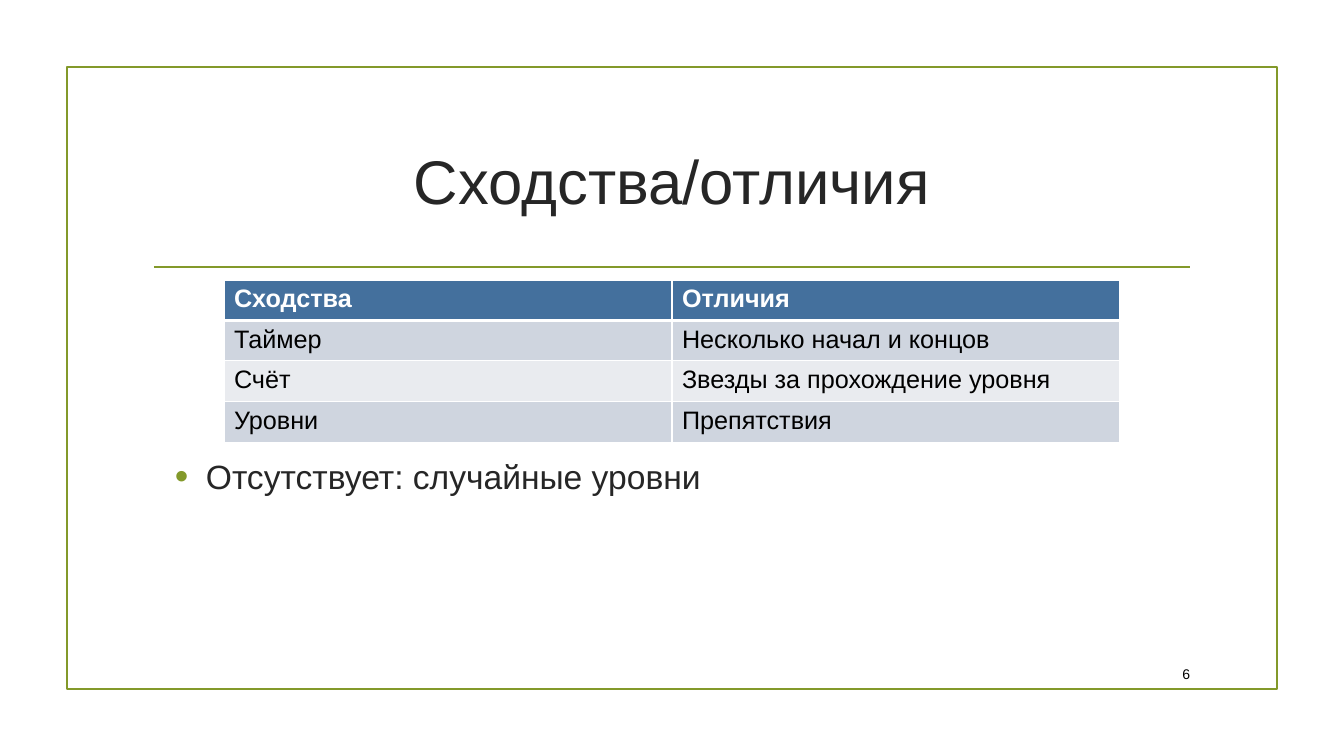
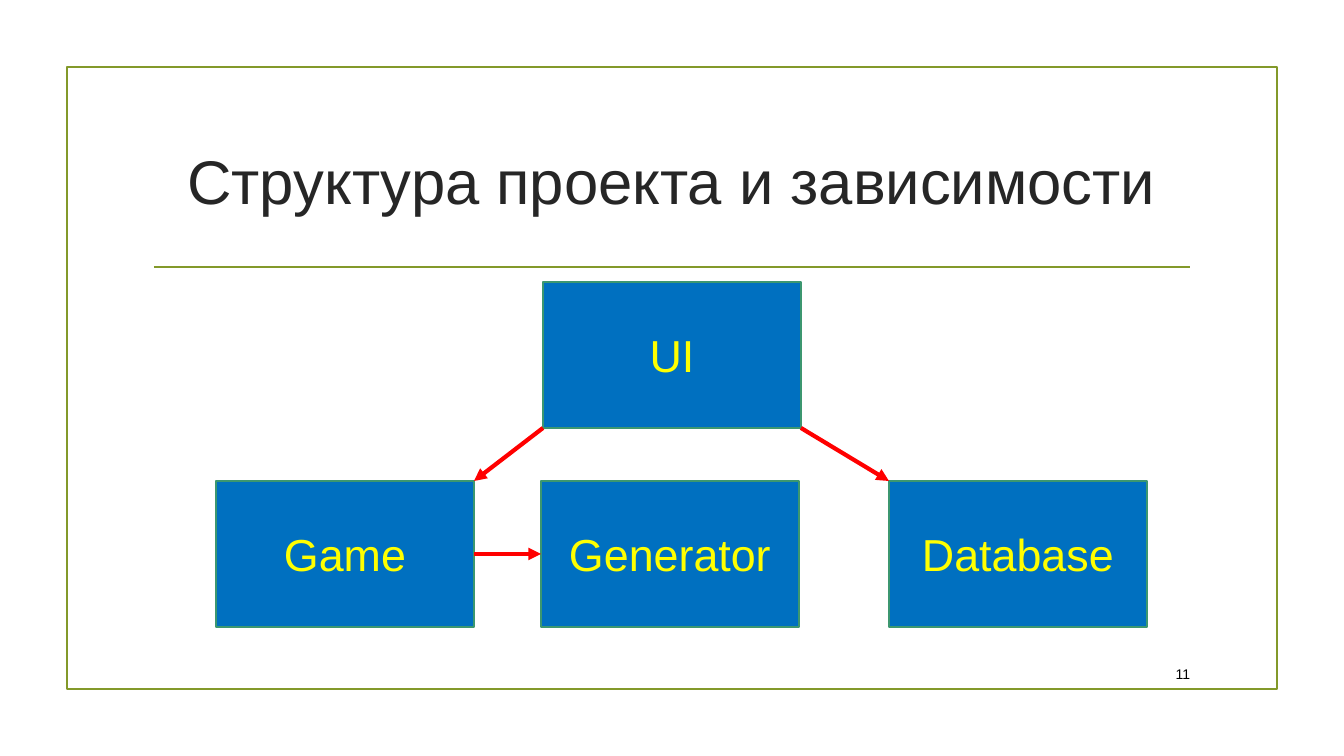
from dataclasses import dataclass

from lxml import etree
from pptx import Presentation
from pptx import util as u
from pptx.dml.color import RGBColor
from pptx.enum import shapes, text
from pptx.oxml import ns

EMU_PER_PX = 914400 / 100.8
WIDTH, HEIGHT = 1344, 756


@dataclass(frozen=True)
class Theme:
    font: str = "Arial"
    # Colours
    olive: str = "83992A"
    ink: str = "262626"
    black: str = "000000"
    white: str = "FFFFFF"
    header: str = "44709D"
    bands: tuple = ("CFD5DF", "E9EBEF")
    node: str = "0070C0"
    node_line: str = "3C9770"
    node_text: str = "FFFF00"
    arrow: str = "FF0000"
    # Type sizes and line widths in points
    title_size: int = 44
    node_size: int = 32
    body_size: int = 24
    table_size: int = 18
    number_size: int = 10
    thin: float = 1.25
    thick: float = 3


def px(length):
    return u.Emu(round(length * EMU_PER_PX))


def rgb(colour):
    return RGBColor.from_string(colour)


def add_xml(parent, tag, **attributes):
    return etree.SubElement(parent, ns.qn(tag), attributes)


def write(frame, words, *, font, size, colour, bold=False,
          align=text.PP_ALIGN.LEFT, anchor=text.MSO_ANCHOR.TOP):
    """Put one formatted paragraph into a text frame and return it."""
    frame.word_wrap = True
    frame.vertical_anchor = anchor
    para = frame.paragraphs[0]
    para.alignment = align
    span = para.add_run()
    span.text = words
    span.font.name = font
    span.font.size = u.Pt(size)
    span.font.bold = bold
    span.font.color.rgb = rgb(colour)
    return para


class Slides:
    """Holds the deck, its style and the slide being drawn."""

    def __init__(self, theme):
        self.theme = theme
        self.deck = Presentation()
        self.deck.slide_width, self.deck.slide_height = px(WIDTH), px(HEIGHT)
        self.page = None

    def start(self, title, number):
        """Open a slide with the shared frame, title, rule and number."""
        theme = self.theme
        self.page = self.deck.slides.add_slide(self.deck.slide_layouts[6])
        self.rect(67, 67, 1210, 622, line=theme.olive)
        self.line((154, 267), (1190, 267), theme.olive, theme.thin)
        self.text(143, 108, 1058, 144, title, size=theme.title_size,
                  colour=theme.ink, align=text.PP_ALIGN.CENTER,
                  anchor=text.MSO_ANCHOR.MIDDLE)
        self.text(1141, 658, 59, 31, str(number), size=theme.number_size,
                  colour=theme.black, align=text.PP_ALIGN.RIGHT,
                  anchor=text.MSO_ANCHOR.MIDDLE)

    def rect(self, left, top, width, height, *, line, fill=None):
        box = self.page.shapes.add_shape(
            shapes.MSO_SHAPE.RECTANGLE, px(left), px(top), px(width), px(height))
        box.shadow.inherit = False
        if fill:
            box.fill.solid()
            box.fill.fore_color.rgb = rgb(fill)
        else:
            box.fill.background()
        box.line.color.rgb = rgb(line)
        box.line.width = u.Pt(self.theme.thin)
        return box

    def line(self, start, end, colour, width, arrow=False):
        link = self.page.shapes.add_connector(
            shapes.MSO_CONNECTOR.STRAIGHT, *map(px, start + end))
        link.line.color.rgb = rgb(colour)
        link.line.width = u.Pt(width)
        if arrow:
            add_xml(link.line._get_or_add_ln(), "a:tailEnd", type="triangle")
        add_xml(link._element.spPr, "a:effectLst")
        return link

    def text(self, left, top, width, height, words, **style):
        box = self.page.shapes.add_textbox(px(left), px(top), px(width), px(height))
        return write(box.text_frame, words, font=self.theme.font, **style)

    def bullet(self, left, top, width, height, words):
        theme = self.theme
        para = self.text(left, top, width, height, words,
                         size=theme.body_size, colour=theme.ink)
        indent = px(31)
        props = para._p.get_or_add_pPr()
        props.set("marL", str(indent))
        props.set("indent", str(-indent))
        add_xml(add_xml(props, "a:buClr"), "a:srgbClr", val=theme.olive)
        add_xml(props, "a:buSzPct", val="115000")
        add_xml(props, "a:buFont", typeface=theme.font)
        add_xml(props, "a:buChar", char="•")

    def table(self, left, top, column_width, row_heights, rows):
        theme = self.theme
        columns = len(rows[0])
        grid = self.page.shapes.add_table(
            len(rows), columns, px(left), px(top),
            px(column_width * columns), px(sum(row_heights))).table
        for column in grid.columns:
            column.width = px(column_width)
        for r, (height, row) in enumerate(zip(row_heights, rows)):
            grid.rows[r].height = px(height)
            head = r == 0
            fill = theme.header if head else theme.bands[(r - 1) % 2]
            for c, words in enumerate(row):
                cell = grid.cell(r, c)
                write(cell.text_frame, words, font=theme.font,
                      size=theme.table_size, bold=head,
                      colour=theme.white if head else theme.black)
                # The rule under the header is heavier than the others
                self.borders(cell, top=3 if r == 1 else 1, bottom=3 if head else 1)
                cell.fill.solid()
                cell.fill.fore_color.rgb = rgb(fill)

    def borders(self, cell, top, bottom):
        props = cell._tc.get_or_add_tcPr()
        for side, width in zip("LRTB", (1, 1, top, bottom)):
            edge = add_xml(props, f"a:ln{side}", w=str(u.Pt(width)))
            add_xml(add_xml(edge, "a:solidFill"), "a:srgbClr", val=self.theme.white)

    def node(self, left, top, width, height, words):
        theme = self.theme
        box = self.rect(left, top, width, height,
                        fill=theme.node, line=theme.node_line)
        write(box.text_frame, words, font=theme.font, size=theme.node_size,
              colour=theme.node_text, align=text.PP_ALIGN.CENTER,
              anchor=text.MSO_ANCHOR.MIDDLE)

    def arrow(self, start, end):
        self.line(start, end, self.theme.arrow, self.theme.thick, arrow=True)


def draw_comparison(slides):
    slides.start("Сходства/отличия", 6)
    slides.table(224, 280, 448, (39, 39, 41, 41), (
        ("Сходства", "Отличия"),
        ("Таймер", "Несколько начал и концов"),
        ("Счёт", "Звезды за прохождение уровня"),
        ("Уровни", "Препятствия"),
    ))
    slides.bullet(165, 451, 1058, 60, "Отсутствует: случайные уровни")


def draw_structure(slides):
    slides.start("Структура проекта и зависимости", 11)
    width, height = 258, 146
    upper, lower = 282, 481
    ui, game, generator, database = 543, 216, 541, 889

    # Modules
    for name, left, top in (("Game", game, lower), ("Generator", generator, lower),
                            ("Database", database, lower), ("UI", ui, upper)):
        slides.node(left, top, width, height, name)

    # Dependencies
    ui_bottom, middle = upper + height, lower + height // 2
    slides.arrow((ui, ui_bottom), (game + width, lower))
    slides.arrow((game + width, middle), (generator, middle))
    slides.arrow((ui + width, ui_bottom), (database, lower))


def main():
    slides = Slides(Theme())
    draw_comparison(slides)
    draw_structure(slides)
    slides.deck.save("out.pptx")


if __name__ == "__main__":
    main()
